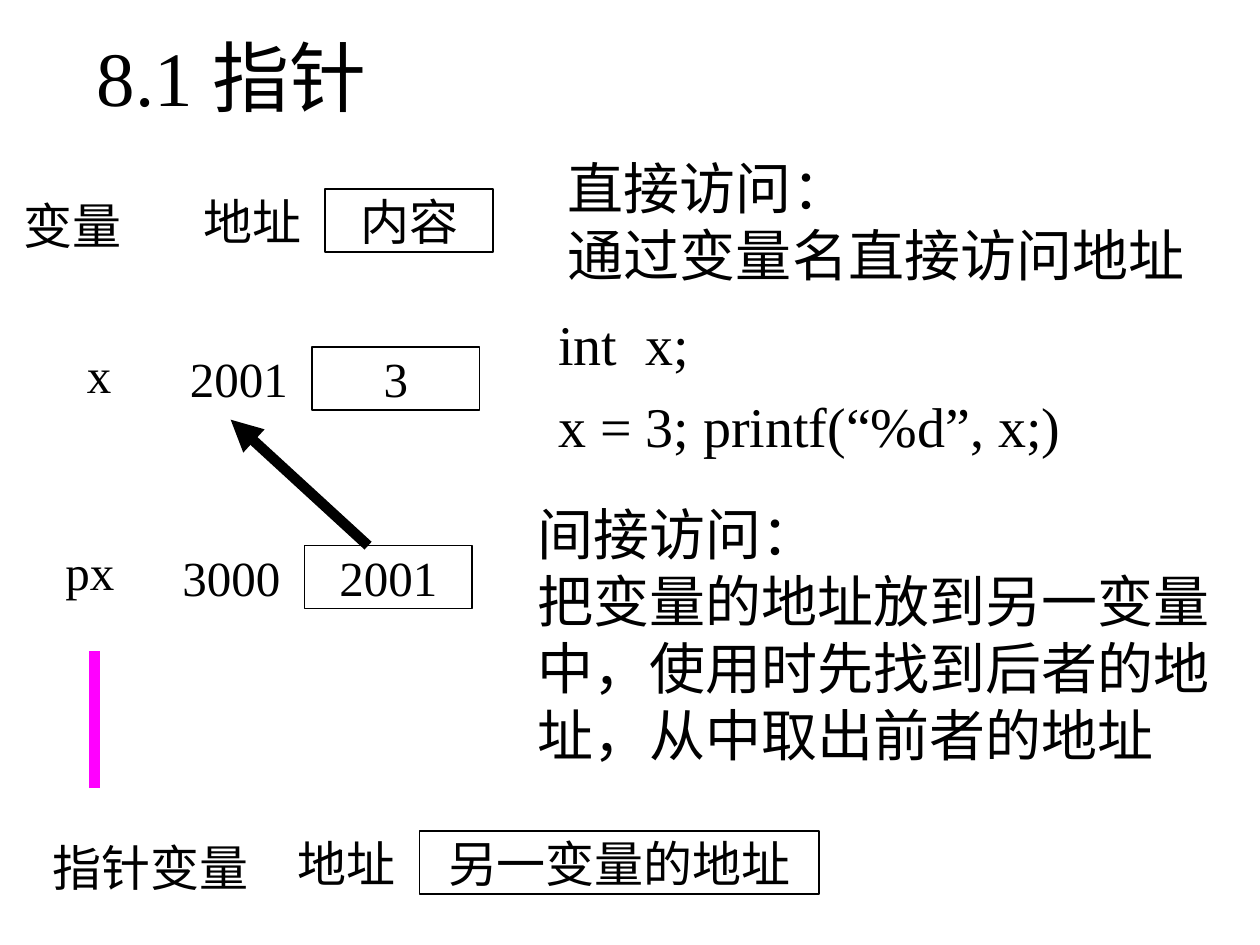
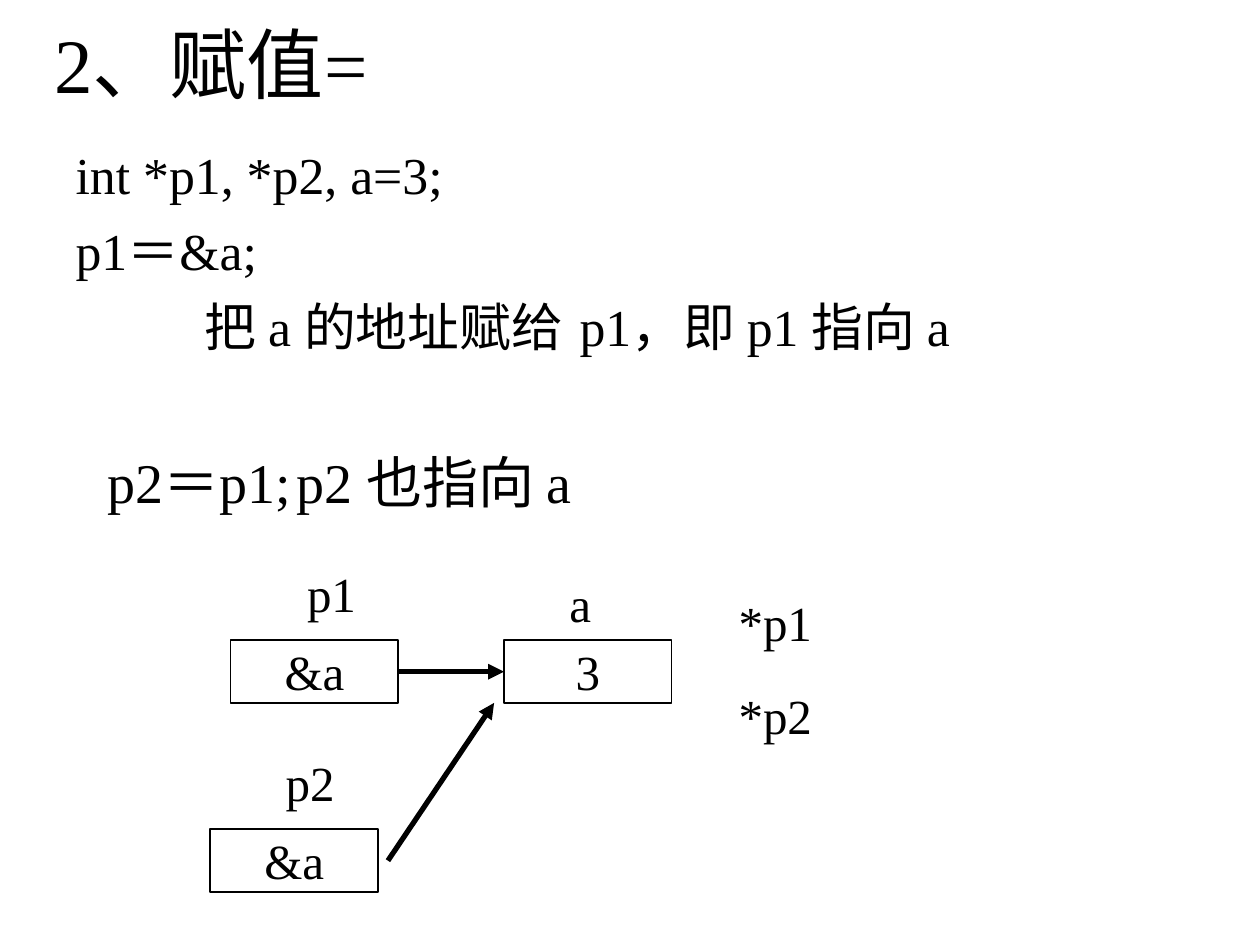
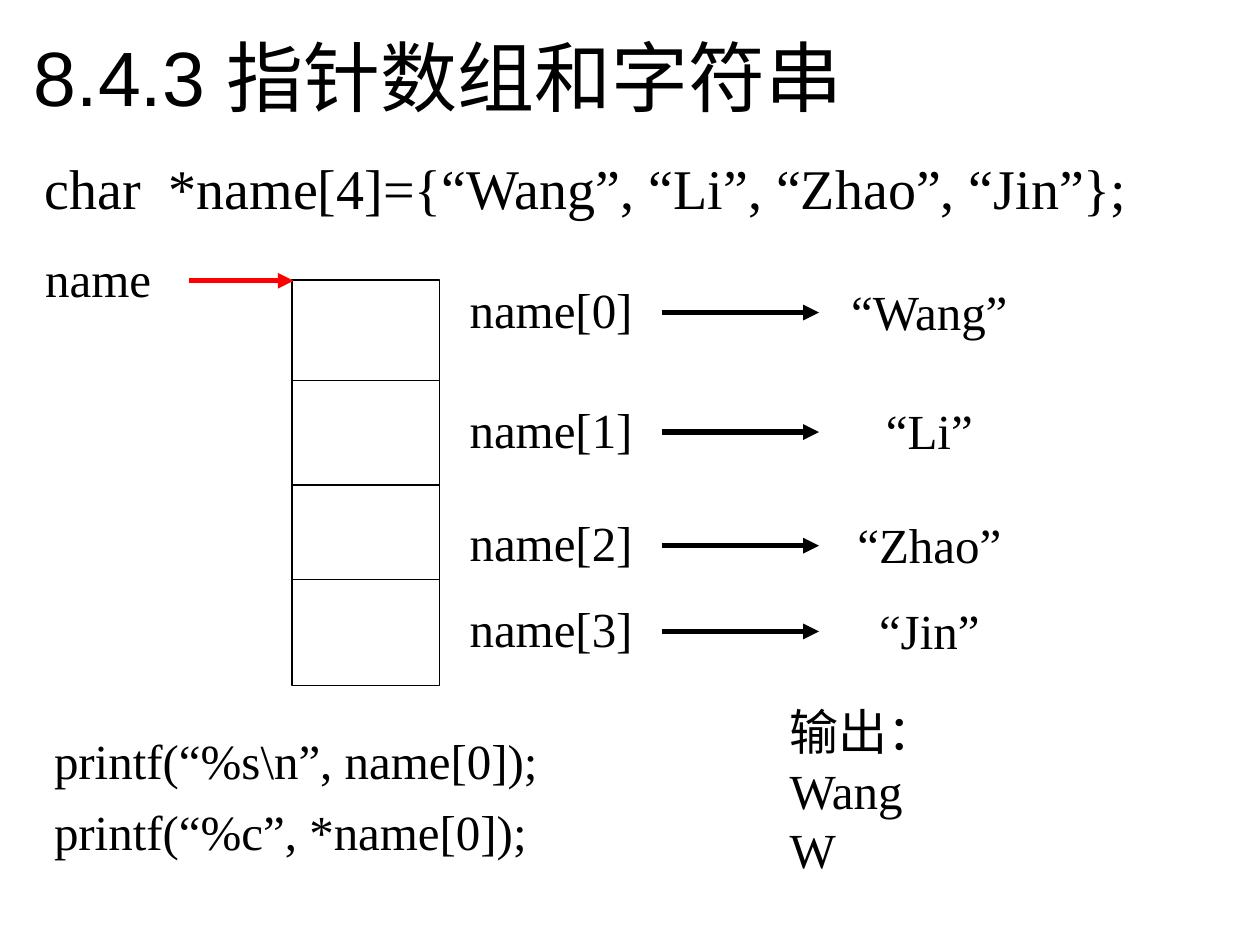
"""Builds three lecture slides on pointers in C."""
import lxml.etree
import pptx
import pptx.dml.color
import pptx.enum.shapes
import pptx.enum.text
import pptx.oxml.ns
import pptx.util

Cm = pptx.util.Cm
Pt = pptx.util.Pt
qn = pptx.oxml.ns.qn
ALIGN = pptx.enum.text.PP_ALIGN
ANCHOR = pptx.enum.text.MSO_ANCHOR
BLACK = pptx.dml.color.RGBColor(0x00, 0x00, 0x00)
MAGENTA = pptx.dml.color.RGBColor(0xFF, 0x00, 0xFF)
RED = pptx.dml.color.RGBColor(0xFF, 0x00, 0x00)
LATIN = "Times New Roman"
EAST_ASIAN = "Noto Sans CJK SC"


def write(tf, text, size=28, font=LATIN, align=ALIGN.LEFT, anchor=ANCHOR.MIDDLE,
          wrap=False, space=0, indents=(), tab=None):
    tf.auto_size = pptx.enum.text.MSO_AUTO_SIZE.NONE
    tf.word_wrap = wrap
    tf.vertical_anchor = anchor
    for i, line in enumerate(text.split("\n")):
        p = tf.paragraphs[0] if i == 0 else tf.add_paragraph()
        pPr = p._p.get_or_add_pPr()
        pPr.set("marL", "0")
        pPr.set("indent", str(Cm(indents[i] if indents else 0)))
        lxml.etree.SubElement(pPr, qn("a:buNone"))
        if tab and "\t" in line:
            tabs = lxml.etree.SubElement(pPr, qn("a:tabLst"))
            lxml.etree.SubElement(tabs, qn("a:tab"), pos=str(Cm(tab)), algn="l")
        p.alignment = align
        p.space_before = Pt(space if i else 0)
        r = p.add_run()
        r.text = line
        r.font.size = Pt(size)
        r.font.color.rgb = BLACK
        r.font.name = font
        lxml.etree.SubElement(r._r.get_or_add_rPr(), qn("a:ea"), typeface=EAST_ASIAN)


class Deck:
    def __init__(self):
        self.prs = pptx.Presentation()
        self.prs.slide_width = Cm(25.4)
        self.prs.slide_height = Cm(19.05)
        self.s = None

    def slide(self, layout, title, x, y, w, h, font=LATIN):
        self.s = self.prs.slides.add_slide(self.prs.slide_layouts[layout])
        self.fill(self.s.shapes.title, title, x, y, w, h, size=44, font=font, wrap=True)

    def fill(self, sp, text, x, y, w, h, **style):
        sp.left, sp.top, sp.width, sp.height = Cm(x), Cm(y), Cm(w), Cm(h)
        write(sp.text_frame, text, **style)

    def body(self, text, x, y, w, h, **style):
        self.fill(self.s.placeholders[1], text, x, y, w, h,
                  anchor=ANCHOR.TOP, wrap=True, **style)

    def text(self, text, x, y, w, h=1.45, **style):
        sp = self.s.shapes.add_textbox(Cm(x), Cm(y), Cm(w), Cm(h))
        write(sp.text_frame, text, **style)

    def box(self, x, y, w=3.38, h=1.27, text=""):
        sp = self.s.shapes.add_shape(pptx.enum.shapes.MSO_SHAPE.RECTANGLE,
                                     Cm(x), Cm(y), Cm(w), Cm(h))
        sp.shadow.inherit = False
        sp.fill.background()
        sp.line.color.rgb = BLACK
        sp.line.width = Pt(1)
        if text:
            write(sp.text_frame, text, align=ALIGN.CENTER)

    def line(self, x1, y1, x2, y2, color=BLACK, width=3, arrow=True):
        sp = self.s.shapes.add_connector(pptx.enum.shapes.MSO_CONNECTOR.STRAIGHT,
                                         Cm(x1), Cm(y1), Cm(x2), Cm(y2))
        sp.line.color.rgb = color
        sp.line.width = Pt(width)
        if arrow:
            lxml.etree.SubElement(sp.line._get_or_add_ln(), qn("a:tailEnd"), type="triangle")
        lxml.etree.SubElement(sp._element.spPr, qn("a:effectLst"))

    def memory_row(self, name, name_at, address, content, at, width=3.38):
        x, y = at
        self.text(name, *name_at, anchor=ANCHOR.TOP)
        self.text(address, x, y, 2.97, 1.27, align=ALIGN.CENTER)
        self.box(x + 2.96, y, width, text=content)


def pointer_slide(deck):
    deck.slide(5, "8.1 指针", 1.7, 0, 21.39, 3.07)
    deck.memory_row("变量", (0.23, 3.81, 2.46), "地址", "内容", (3.6, 3.81))
    deck.memory_row("x", (1.5, 6.83, 0.99), "2001", "3", (3.33, 6.99))
    deck.memory_row("px", (1.07, 10.8, 1.5), "3000", "2001", (3.18, 11))
    deck.memory_row("指针变量", (0.81, 16.76, 4.45), "地址", "另一变量的地址",
                    (5.5, 16.76), width=8.05)
    deck.text("直接访问：\n通过变量名直接访问地址", 11.2, 2.97, 12.93, 2.97, size=32)
    deck.text("int  x;\nx = 3; printf(“%d”, x;)", 11, 6.12, 12.9, 3.25,
              size=32, space=8, wrap=True)
    deck.text("间接访问：\n把变量的地址放到另一变量中，使用时先找到后者的地址，从中取出前者的地址",
              10.59, 9.93, 14.81, 5.69, size=32, wrap=True)
    deck.line(7.42, 11, 4.65, 8.46, width=6)
    deck.line(1.91, 15.88, 1.91, 13.13, color=MAGENTA, width=6, arrow=False)


def assignment_slide(deck):
    deck.slide(1, "2、赋值=", 0.84, 0, 20.75, 2.54)
    deck.body("int *p1, *p2, a=3;\np1＝&a;\n把 a 的地址赋给\tp1，即 p1 指向 a",
              1.27, 2.74, 21.39, 5.92, size=29.6, space=8, indents=(0, 0, 2.6), tab=11.02)
    deck.text("p2＝p1;\tp2 也指向 a", 1.91, 8.89, 15.67, 1.91, size=32,
              anchor=ANCHOR.TOP, tab=5.36)
    for name, x, y, w in (("a", 11.23, 11.43, 0.94), ("p1", 5.94, 11.23, 1.5),
                          ("p2", 5.51, 15.04, 1.5)):
        deck.text(name, x, y, w, anchor=ANCHOR.TOP)
    for content, x, y in (("3", 10.16, 12.9), ("&a", 4.65, 12.9), ("&a", 4.24, 16.71)):
        deck.box(x, y, text=content)
    deck.line(8.05, 13.54, 10.16, 13.54)
    deck.line(7.82, 17.35, 9.96, 14.17)
    deck.text("*p1\n*p2", 14.5, 11.76, 2.26, 3.43, align=ALIGN.CENTER, space=20)


def pointer_array_slide(deck):
    deck.slide(1, "8.4.3 指针数组和字符串", 0.43, 0, 21.39, 3.07, font="Arial")
    deck.body("char  *name[4]={“Wang”, “Li”, “Zhao”, “Jin”};",
              0.64, 2.97, 23.93, 1.91, size=32)
    deck.box(5.89, 5.64, 2.97, 8.18)
    for y in (7.67, 9.78, 11.68):
        deck.line(5.89, y, 8.86, y, width=1, arrow=False)
    deck.text("name", 0.66, 4.88, 2.64, align=ALIGN.CENTER)
    deck.line(3.81, 5.66, 5.92, 5.66, color=RED)
    rows = (("Wang", 5.51), ("Li", 7.92), ("Zhao", 10.21), ("Jin", 11.94))
    for i, (value, y) in enumerate(rows):
        deck.text(f"name[{i}]", 9.22, y, 3.78, align=ALIGN.CENTER)
        deck.line(13.34, y + 0.79, 16.51, y + 0.79)
        deck.text(f"“{value}”", 16.87, y + 0.03, 3.73, align=ALIGN.CENTER)
    deck.text("printf(“%s\\n”, name[0]);\nprintf(“%c”, *name[0]);",
              0.84, 14.6, 14.6, 3.18, anchor=ANCHOR.TOP, wrap=True, space=7)
    deck.text("输出：\nWang\nW", 15.67, 14.02, 7.59, 3.81, wrap=True)


def main():
    deck = Deck()
    pointer_slide(deck)
    assignment_slide(deck)
    pointer_array_slide(deck)
    deck.prs.save("out.pptx")


if __name__ == "__main__":
    main()
